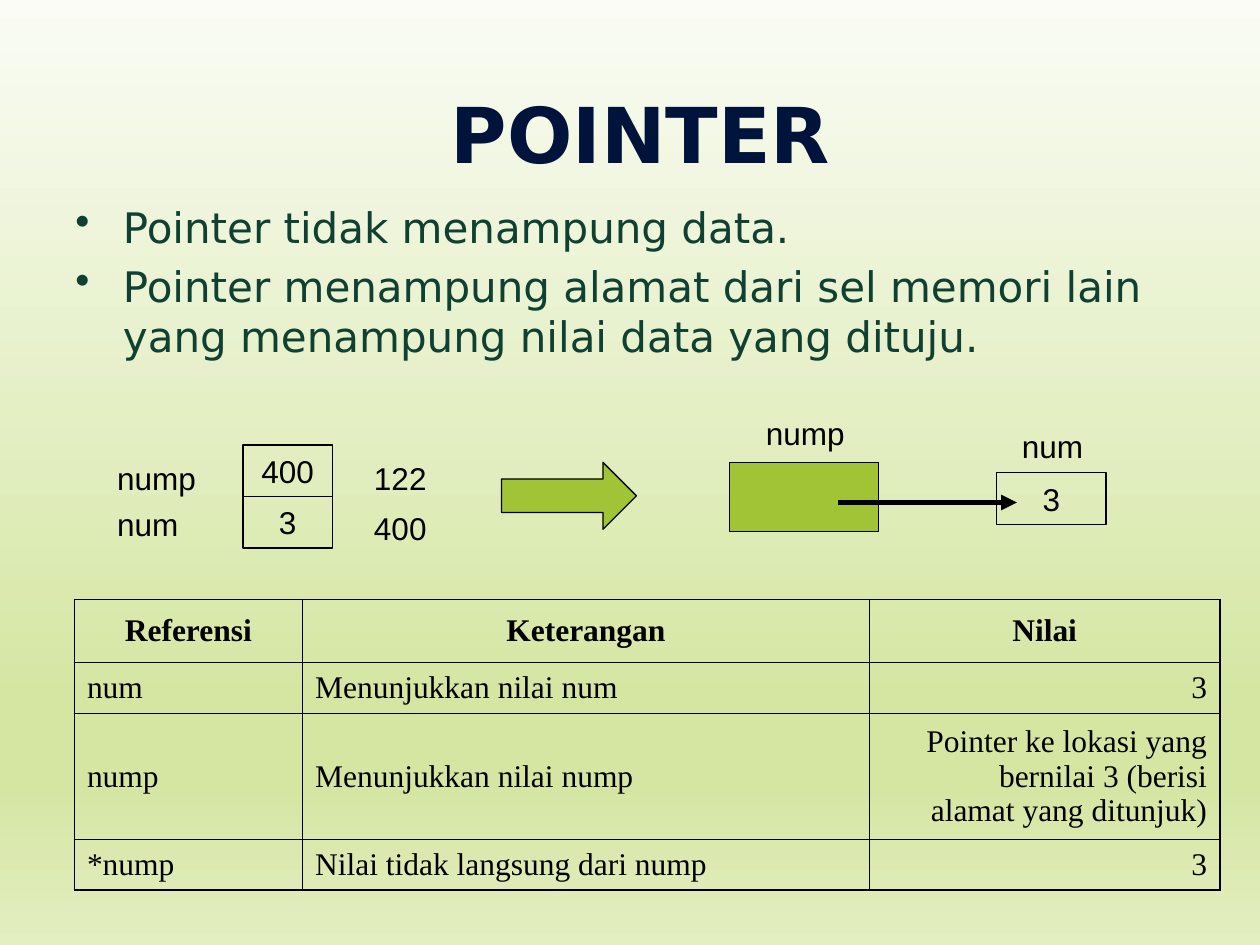
from copy import deepcopy
from dataclasses import dataclass

from lxml import etree
from pptx import Presentation
from pptx import util as u
from pptx.dml.color import RGBColor
from pptx.enum import shapes, text
from pptx.oxml import ns

Cm, Pt = u.Cm, u.Pt
ALIGN, ANCHOR = text.PP_ALIGN, text.MSO_ANCHOR
RECTANGLE = shapes.MSO_SHAPE.RECTANGLE


@dataclass(frozen=True)
class Theme:
    ink: str = "000000"
    title: str = "00133A"
    body: str = "104031"
    accent: str = "A0C435"
    gradient: tuple = ((0, "FAFCF5"), (0.74, "D5E6A3"), (0.83, "D5E6A3"), (1, "E3EEC1"))
    heading_font: str = "DejaVu Sans"
    label_font: str = "Arial"
    table_font: str = "Times New Roman"
    title_size: int = 44
    body_size: int = 24
    small_size: int = 18
    thin: float = 0.75
    border: float = 1
    thick: float = 3
    hanging: float = 0.96


THEME = Theme()
LABEL = {"name": THEME.label_font, "size": Pt(THEME.small_size)}
CELL = {"name": THEME.table_font, "size": Pt(THEME.small_size)}
BODY = {"name": THEME.heading_font, "size": Pt(THEME.body_size)}
TITLE = {"name": THEME.heading_font, "size": Pt(THEME.title_size), "bold": True}

BULLETS = (
    "Pointer tidak menampung data.",
    "Pointer menampung alamat dari sel memori lain yang menampung nilai data yang dituju.",
)
COLUMN_WIDTHS = (4.6, 11.43, 7.06)
ROW_HEIGHTS = (1.27, 1.02, 2.54, 1.02)
TABLE_ROWS = (
    ("Referensi", "Keterangan", "Nilai"),
    ("num", "Menunjukkan nilai num", "3"),
    ("nump", "Menunjukkan nilai nump",
     "Pointer ke lokasi yang bernilai 3 (berisi alamat yang ditunjuk)"),
    ("*nump", "Nilai tidak langsung dari nump", "3"),
)


def apply(target, values):
    for name, value in values.items():
        setattr(target, name, value)


def add_element(parent, tag, **attributes):
    return etree.SubElement(parent, ns.qn(tag), attributes)


def write(paragraph, content, font, color=THEME.ink, align=ALIGN.LEFT):
    run = paragraph.add_run()
    run.text = content
    apply(run.font, font)
    run.font.color.rgb = RGBColor.from_string(color)
    paragraph.alignment = align


def hang(paragraph):
    """Indent every line but the first."""
    properties = paragraph._p.get_or_add_pPr()
    properties.set("marL", str(Cm(THEME.hanging)))
    properties.set("indent", str(-Cm(THEME.hanging)))
    return properties


def paint_background(slide):
    fill = slide.background.fill
    fill.gradient()
    fill.gradient_angle = 270
    stops = slide.element.find(".//" + ns.qn("a:gsLst"))
    while len(stops) < len(THEME.gradient):
        stops.append(deepcopy(stops[0]))
    for stop, (position, color) in zip(fill.gradient_stops, THEME.gradient):
        stop.position = position
        stop.color.rgb = RGBColor.from_string(color)


def set_title(slide, content):
    title = slide.shapes.title
    apply(title, {"left": Cm(1.27), "top": Cm(0.69), "width": Cm(23.29), "height": Cm(3.99)})
    title.text_frame.vertical_anchor = ANCHOR.MIDDLE
    write(title.text_frame.paragraphs[0], content, TITLE, THEME.title, ALIGN.CENTER)


def add_text_box(slide, left, top, width, height):
    frame = slide.shapes.add_textbox(Cm(left), Cm(top), Cm(width), Cm(height)).text_frame
    frame.word_wrap = True
    return frame


def add_bullets(slide, items):
    frame = add_text_box(slide, 1.27, 3.94, 23.62, 4.47)
    for index, item in enumerate(items):
        paragraph = frame.add_paragraph() if index else frame.paragraphs[0]
        write(paragraph, item, BODY, THEME.body)
        if index:
            paragraph.space_before = Pt(0.2 * THEME.body_size)
        add_element(hang(paragraph), "a:buChar", char="•")


def add_label(slide, content, left, top, width=2.21):
    frame = add_text_box(slide, left, top, width, 1.02)
    write(frame.paragraphs[0], content, LABEL)


def add_box(slide, left, top, width, height, content="", fill=None, kind=RECTANGLE):
    shape = slide.shapes.add_shape(kind, Cm(left), Cm(top), Cm(width), Cm(height))
    shape.shadow.inherit = False
    if fill:
        shape.fill.solid()
        shape.fill.fore_color.rgb = RGBColor.from_string(fill)
    else:
        shape.fill.background()
    shape.line.color.rgb = RGBColor.from_string(THEME.ink)
    shape.line.width = Pt(THEME.thin)
    if content:
        write(shape.text_frame.paragraphs[0], content, LABEL, align=ALIGN.CENTER)
    return shape


def add_pointer(slide, start, end, y):
    pointer = slide.shapes.add_connector(
        shapes.MSO_CONNECTOR.STRAIGHT, Cm(start), Cm(y), Cm(end), Cm(y))
    pointer.line.color.rgb = RGBColor.from_string(THEME.ink)
    pointer.line.width = Pt(THEME.thick)
    add_element(pointer.line._get_or_add_ln(), "a:tailEnd", type="triangle")
    add_element(pointer._element.spPr, "a:effectLst")


def add_borders(cell):
    properties = cell._tc.get_or_add_tcPr()
    for index, side in enumerate(("a:lnL", "a:lnR", "a:lnT", "a:lnB")):
        line = add_element(properties, side, w=str(Pt(THEME.border)))
        add_element(add_element(line, "a:solidFill"), "a:srgbClr", val=THEME.ink)
        properties.insert(index, line)


def add_reference_table(slide):
    table = slide.shapes.add_table(
        len(ROW_HEIGHTS), len(COLUMN_WIDTHS), Cm(1.5), Cm(12.09),
        Cm(sum(COLUMN_WIDTHS)), Cm(sum(ROW_HEIGHTS))).table
    apply(table, {"first_row": False, "horz_banding": False})
    for column, width in zip(table.columns, COLUMN_WIDTHS):
        column.width = Cm(width)
    for row, height in zip(table.rows, ROW_HEIGHTS):
        row.height = Cm(height)
    for row, contents in enumerate(TABLE_ROWS):
        for column, content in enumerate(contents):
            cell = table.cell(row, column)
            cell.fill.background()
            cell.vertical_anchor = ANCHOR.MIDDLE
            add_borders(cell)
            align = (ALIGN.LEFT, ALIGN.LEFT, ALIGN.RIGHT)[column] if row else ALIGN.CENTER
            paragraph = cell.text_frame.paragraphs[0]
            write(paragraph, content, CELL | {"bold": row == 0}, align=align)
            hang(paragraph)


def add_memory_cells(slide):
    for index, (name, value, address) in enumerate(
            (("nump", "400", "122"), ("num", "3", "400"))):
        add_box(slide, 4.9, 8.97 + 1.04 * index, 1.8, 1.04, value)
        add_label(slide, address, 7.29, 9.12 + 1.01 * index, 1.8)
        add_label(slide, name, 2.11, 9.12 + 0.94 * index)


def add_pointer_diagram(slide):
    arrow = add_box(slide, 10.11, 9.32, 2.72, 1.35, fill=THEME.accent,
                    kind=shapes.MSO_SHAPE.RIGHT_ARROW)
    arrow.adjustments[0] = arrow.adjustments[1] = 0.5
    add_box(slide, 14.71, 9.32, 3, 1.4, fill=THEME.accent)
    add_box(slide, 20.09, 9.53, 2.21, 1.04, "3")
    add_pointer(slide, 16.89, 20.5, 10.13)
    add_label(slide, "num", 20.35, 8.48, 2.59)
    add_label(slide, "nump", 15.19, 8.23)


def main():
    presentation = Presentation()
    apply(presentation, {"slide_width": Cm(25.4), "slide_height": Cm(19.05)})
    slide = presentation.slides.add_slide(presentation.slide_layouts.get_by_name("Title Only"))
    paint_background(slide)
    set_title(slide, "POINTER")
    add_bullets(slide, BULLETS)
    add_reference_table(slide)
    add_memory_cells(slide)
    add_pointer_diagram(slide)
    presentation.save("out.pptx")


if __name__ == "__main__":
    main()
